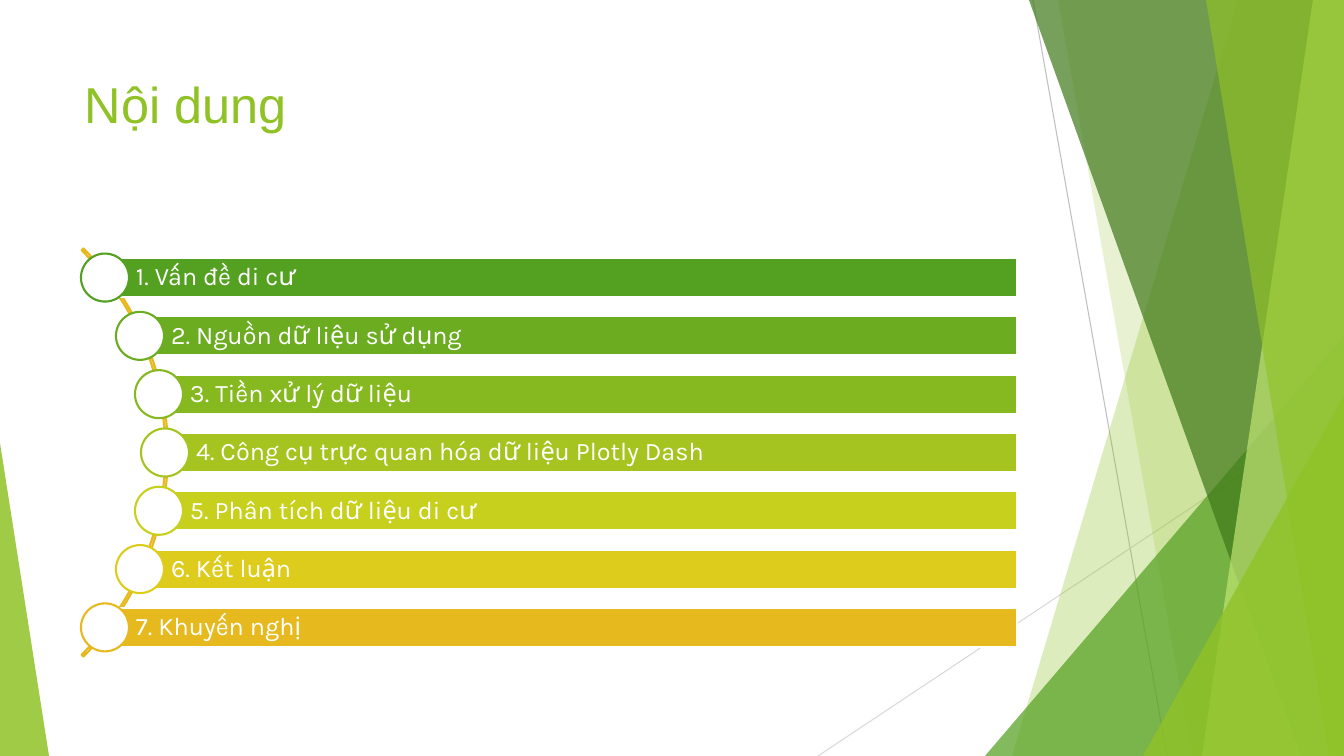
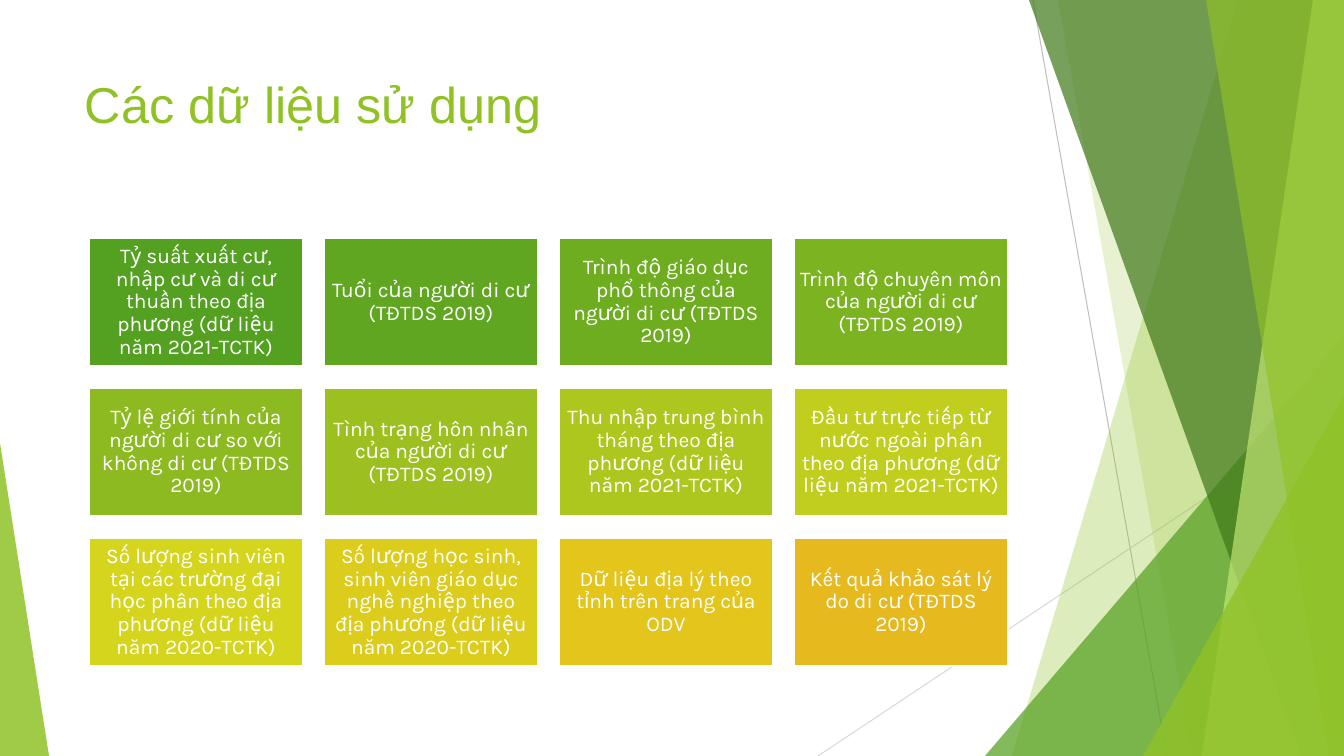
from math import sqrt

from lxml.etree import SubElement
from pptx import Presentation
from pptx.dml.color import RGBColor
from pptx.enum.shapes import MSO_CONNECTOR as Connector, MSO_SHAPE as Preset
from pptx.enum.text import MSO_ANCHOR as Anchor, PP_ALIGN as Align
from pptx.oxml.ns import qn
from pptx.util import Emu, Pt

WIDTH, HEIGHT = 1344, 756
SCALE = 12192000 / WIDTH

COLOURS = {
    "white": "FFFFFF",
    "lime": "90C226",
    "green": "54A021",
    "forest": "3F7819",
    "pale": "C0E474",
    "amber": "E6B91E",
    "grey": "BFBFBF",
    "light grey": "D9D9D9",
    "topics": "54A021 6BAC20 86B820 A5C41F C7D01D DDCC1C E6B91E",
    "datasets": "54A021 60A621 6EAD20 7CB320 8CBA20 9CC01F "
                "AEC71E C1CE1E D5D51D DCCD1C E3C51B E6B91E",
}

TOPICS = [
    "1. Vấn đề di cư",
    "2. Nguồn dữ liệu sử dụng",
    "3. Tiền xử lý dữ liệu",
    "4. Công cụ trực quan hóa dữ liệu Plotly Dash",
    "5. Phân tích dữ liệu di cư",
    "6. Kết luận",
    "7. Khuyến nghị",
]

DATASETS = [
    "Tỷ suất xuất cư, nhập cư và di cư thuần theo địa phương (dữ liệu năm 2021-TCTK)",
    "Tuổi của người di cư (TĐTDS 2019)",
    "Trình độ giáo dục phổ thông của người di cư (TĐTDS 2019)",
    "Trình độ chuyên môn của người di cư (TĐTDS 2019)",
    "Tỷ lệ giới tính của người di cư so với không di cư (TĐTDS 2019)",
    "Tình trạng hôn nhân của người di cư (TĐTDS 2019)",
    "Thu nhập trung bình tháng theo địa phương (dữ liệu năm 2021-TCTK)",
    "Đầu tư trực tiếp từ nước ngoài phân theo địa phương (dữ liệu năm 2021-TCTK)",
    "Số lượng sinh viên tại các trường đại học phân theo địa phương (dữ liệu năm 2020-TCTK)",
    "Số lượng học sinh, sinh viên giáo dục nghề nghiệp theo địa phương (dữ liệu năm 2020-TCTK)",
    "Dữ liệu địa lý theo tỉnh trên trang của ODV",
    "Kết quả khảo sát lý do di cư (TĐTDS 2019)",
]


def px(length):
    return Emu(round(length * SCALE))


def rgb(colour):
    """Accept a name from COLOURS or a hex string."""
    return RGBColor.from_string(COLOURS.get(colour, colour))


class Deck:
    title_font, body_font = "Arial", "Karla"
    title_size, outline = 36, 1.5

    def __init__(self):
        self.presentation = Presentation()
        self.presentation.slide_width = px(WIDTH)
        self.presentation.slide_height = px(HEIGHT)
        self.slide = None

    def add_slide(self, title):
        self.slide = self.presentation.slides.add_slide(self.presentation.slide_layouts[6])
        self.decorate()
        box = self.slide.shapes.add_textbox(px(75), px(68), px(948), px(145))
        self.set_text(box, title, self.title_size, self.title_font, "lime", (10, 5, 10, 5))

    def decorate(self):
        """Draw the translucent facets that frame every slide."""
        self.line((1033, 0), (1167, HEIGHT), "grey")
        self.line((WIDTH, 406), (818, HEIGHT), "light grey")
        self.facet(1238, 1012, "lime", 30)
        self.facet(1058, 1192, "lime", 20)
        self.triangle(985, 336, 359, 1, "green", 72)
        self.facet(1029, 1301, "forest", 70)
        self.facet(1313, 1202, "pale", 70)
        self.facet(1206, 1329, "lime", 65)
        self.triangle(1143, 396, 201, 1, "lime", 80)
        self.triangle(0, 443, 49, 0, "lime", 85)

    def line(self, start, end, colour):
        connector = self.slide.shapes.add_connector(
            Connector.STRAIGHT, *(px(value) for value in start + end))
        connector.line.color.rgb = rgb(colour)
        connector.line.width = Pt(0.75)
        SubElement(connector._element.spPr, qn("a:effectLst"))

    def facet(self, top_x, bottom_x, colour, opacity):
        """Fill from a slanted left edge to the right side of the slide."""
        builder = self.slide.shapes.build_freeform(px(top_x), px(0))
        corners = [(WIDTH, 0), (WIDTH, HEIGHT), (bottom_x, HEIGHT)]
        builder.add_line_segments([(px(x), px(y)) for x, y in corners])
        self.paint(builder.convert_to_shape(), colour, opacity=opacity)

    def triangle(self, left, top, width, apex, colour, opacity):
        shape = self.shape(Preset.ISOSCELES_TRIANGLE, left, top, width, HEIGHT - top,
                           colour, opacity=opacity)
        shape.adjustments[0] = apex

    def shape(self, preset, left, top, width, height, fill, line=None, opacity=100):
        shape = self.slide.shapes.add_shape(
            preset, px(left), px(top), px(width), px(height))
        self.paint(shape, fill, line, opacity)
        return shape

    def paint(self, shape, fill, line=None, opacity=100):
        shape.shadow.inherit = False
        if fill:
            shape.fill.solid()
            shape.fill.fore_color.rgb = rgb(fill)
            if opacity < 100:
                colour = shape._element.spPr.find(qn("a:solidFill")).find(qn("a:srgbClr"))
                SubElement(colour, qn("a:alpha"), val=str(opacity * 1000))
        else:
            shape.fill.background()
        if line:
            shape.line.color.rgb = rgb(line)
            shape.line.width = Pt(self.outline)
        else:
            shape.line.fill.background()

    def set_text(self, shape, text, size, font, colour, insets,
                 align=Align.LEFT, anchor=Anchor.TOP, spacing=1.0):
        frame = shape.text_frame
        frame.text = text
        frame.word_wrap = True
        frame.vertical_anchor = anchor
        (frame.margin_left, frame.margin_top,
         frame.margin_right, frame.margin_bottom) = map(px, insets)
        paragraph = frame.paragraphs[0]
        paragraph.alignment = align
        paragraph.line_spacing = spacing
        for run in paragraph.runs:
            run.font.size = Pt(size)
            run.font.name = font
            run.font.color.rgb = rgb(colour)

    def box(self, left, top, width, height, fill, text, size, insets, align):
        shape = self.shape(Preset.RECTANGLE, left, top, width, height, fill, "white")
        self.set_text(shape, text, size, self.body_font, "white", insets,
                      align, Anchor.MIDDLE, 0.9)

    def arc_list(self, items, colours):
        """Place one bar per item, each starting on a circle's right-hand arc."""
        centre_x, centre_y, radius, step = -121, 452.5, 286, 58.3
        bar_right, bar_height, dot = 1017, 39, 48
        arc = self.shape(Preset.BLOCK_ARC, -409, 164, 577, 577, None, "amber")
        for index, value in enumerate((189, 27, 0.0044)):
            arc.adjustments[index] = value
        for index, (text, colour) in enumerate(zip(items, colours)):
            offset = step * (index - (len(items) - 1) / 2)
            x = round(centre_x + sqrt(radius ** 2 - offset ** 2))
            y = centre_y + offset
            self.box(x, y - bar_height / 2, bar_right - x, bar_height, colour,
                     text, 18, (31, 5, 5, 5), Align.LEFT)
            self.shape(Preset.OVAL, x - dot / 2, y - dot / 2, dot, dot, "white", colour)

    def card_grid(self, items, colours, columns=4):
        left, top, width, height, gap_x, gap_y = 89, 238, 214, 128, 21, 22
        for index, (text, colour) in enumerate(zip(items, colours)):
            row, column = divmod(index, columns)
            self.box(left + column * (width + gap_x), top + row * (height + gap_y),
                     width, height, colour, text, 15, (6, 6, 6, 6), Align.CENTER)


def main():
    deck = Deck()
    deck.add_slide("Nội dung")
    deck.arc_list(TOPICS, COLOURS["topics"].split())
    deck.add_slide("Các dữ liệu sử dụng")
    deck.card_grid(DATASETS, COLOURS["datasets"].split())
    deck.presentation.save("out.pptx")


if __name__ == "__main__":
    main()
